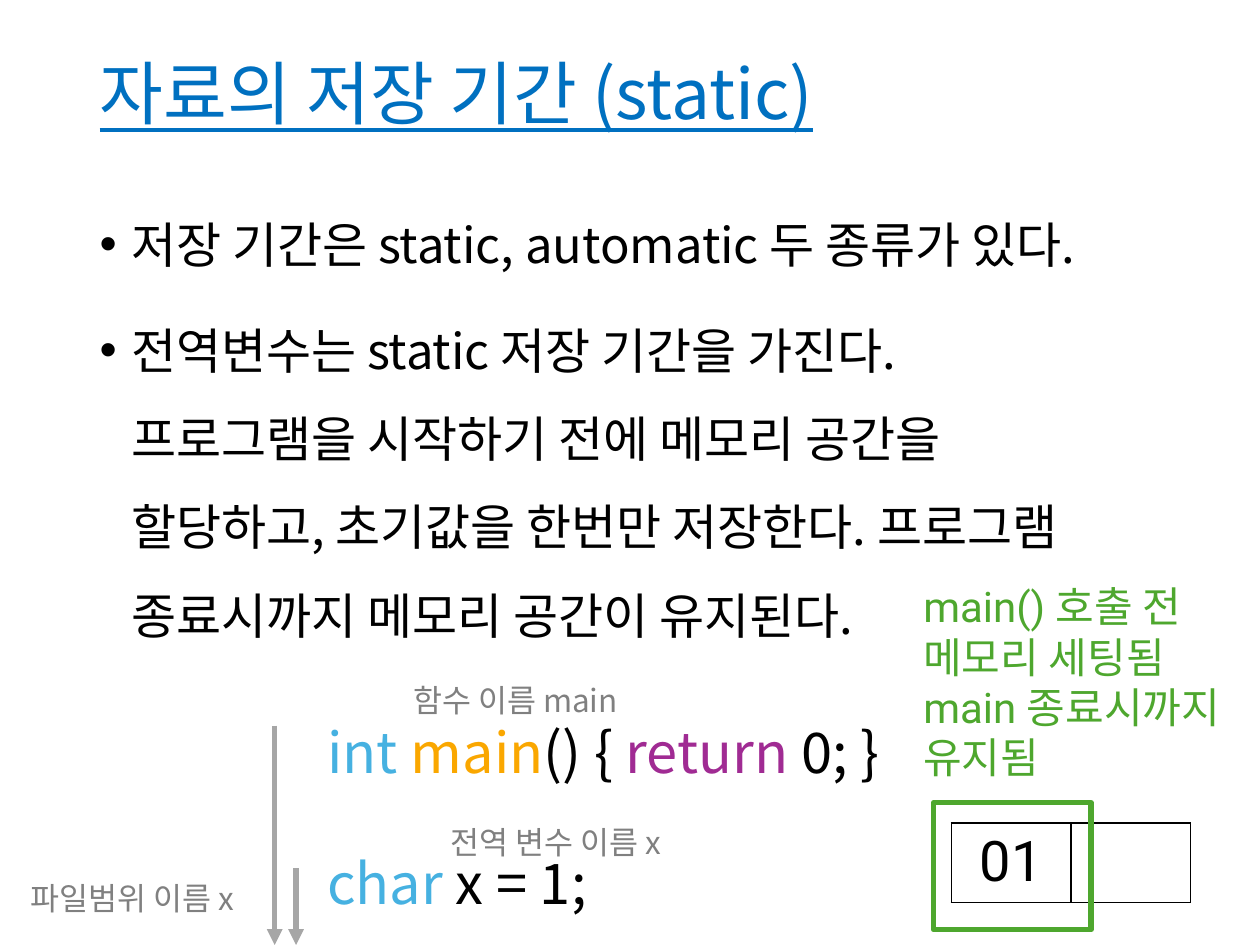
from dataclasses import dataclass

from lxml.etree import SubElement
from pptx import Presentation
from pptx.dml.color import RGBColor
from pptx.enum.shapes import MSO_CONNECTOR, MSO_SHAPE
from pptx.enum.text import MSO_ANCHOR, MSO_AUTO_SIZE, PP_ALIGN
from pptx.oxml.ns import qn
from pptx.util import Inches, Pt


@dataclass(frozen=True)
class Theme:
    """Fonts, type sizes and colours of the slide."""
    font: str = "Noto Sans CJK KR"
    accent_font: str = "Roboto"
    title_size: float = 39.6
    body_size: int = 28
    code_size: int = 32
    callout_size: int = 24
    label_size: int = 18
    title: str = "0070C0"
    text: str = "000000"
    background: str = "FFFFFF"
    label: str = "808080"
    arrow: str = "A6A6A6"
    callout: str = "4EA72E"
    keyword: str = "46B1E1"
    function: str = "FAA700"
    control: str = "A02B93"


class SlideBuilder:
    """Draws each kind of element on the current slide in one style."""

    def __init__(self, slide, theme):
        self.slide = slide
        self.theme = theme

    def place(self, shape, left, top, width, height):
        shape.left, shape.top = Inches(left), Inches(top)
        shape.width, shape.height = Inches(width), Inches(height)

    def format_run(self, run, size, color, font=None):
        run.font.size = Pt(size)
        run.font.name = font or self.theme.font
        run.font.color.rgb = RGBColor.from_string(color)
        east_asian = SubElement(run.font._element, qn("a:ea"))
        east_asian.set("typeface", self.theme.font)

    def title(self, text, *box):
        shape = self.slide.shapes.title
        self.place(shape, *box)
        frame = shape.text_frame
        frame.text = text
        frame.auto_size = MSO_AUTO_SIZE.NONE
        frame.vertical_anchor = MSO_ANCHOR.MIDDLE
        paragraph = frame.paragraphs[0]
        paragraph.alignment = PP_ALIGN.LEFT
        paragraph.line_spacing = 0.9
        run = paragraph.runs[0]
        self.format_run(run, self.theme.title_size, self.theme.title)
        run.font.underline = True

    def bullets(self, items, *box):
        shape = self.slide.placeholders[1]
        self.place(shape, *box)
        frame = shape.text_frame
        frame.text = "\n".join(items)
        frame.auto_size = MSO_AUTO_SIZE.NONE
        for index, paragraph in enumerate(frame.paragraphs):
            properties = paragraph._p.get_or_add_pPr()
            properties.set("marL", str(Inches(0.25)))
            properties.set("indent", str(Inches(-0.25)))
            SubElement(properties, qn("a:buFont")).set("typeface", "Arial")
            SubElement(properties, qn("a:buChar")).set("char", "•")
            paragraph.line_spacing = 1.5
            paragraph.space_before = Pt(10 if index else 0)
            self.format_run(paragraph.runs[0], self.theme.body_size, self.theme.text)

    def rectangle(self, *box):
        shape = self.slide.shapes.add_shape(MSO_SHAPE.RECTANGLE, *map(Inches, box))
        shape.shadow.inherit = False
        return shape

    def code(self, lines, gap, *box):
        shape = self.rectangle(*box)
        shape.line.fill.background()
        shape.fill.solid()
        shape.fill.fore_color.rgb = RGBColor.from_string(self.theme.background)
        color = shape.fill._xPr.find(f".//{qn('a:srgbClr')}")
        SubElement(color, qn("a:alpha")).set("val", "90000")
        frame = shape.text_frame
        frame.word_wrap = True
        frame.vertical_anchor = MSO_ANCHOR.TOP
        for index, line in enumerate(lines):
            paragraph = frame.add_paragraph() if index else frame.paragraphs[0]
            paragraph.alignment = PP_ALIGN.LEFT
            paragraph.line_spacing = 0.8
            paragraph.space_before = Pt(gap if index else 0)
            for text, color in line:
                run = paragraph.add_run()
                run.text = text
                self.format_run(run, self.theme.code_size, color)

    def text(self, text, size, color, font, *box):
        frame = self.slide.shapes.add_textbox(*map(Inches, box)).text_frame
        frame.text = text
        frame.word_wrap = False
        frame.auto_size = MSO_AUTO_SIZE.SHAPE_TO_FIT_TEXT
        for paragraph in frame.paragraphs:
            self.format_run(paragraph.runs[0], size, color, font)

    def label(self, text, *box):
        self.text(text, self.theme.label_size, self.theme.label, self.theme.font, *box)

    def arrow_down(self, x, top, bottom):
        connector = self.slide.shapes.add_connector(
            MSO_CONNECTOR.STRAIGHT, Inches(x), Inches(top), Inches(x), Inches(bottom))
        connector.line.color.rgb = RGBColor.from_string(self.theme.arrow)
        connector.line.width = Pt(3)
        SubElement(connector.line._get_or_add_ln(), qn("a:tailEnd")).set("type", "triangle")
        SubElement(connector._element.spPr, qn("a:effectLst"))

    def memory(self, values, *box):
        shape = self.slide.shapes.add_table(1, len(values), *map(Inches, box))
        table = shape.table
        table.first_row = table.horz_banding = False
        for cell, value in zip(table.iter_cells(), values):
            cell.text = value
            paragraph = cell.text_frame.paragraphs[0]
            paragraph.alignment = PP_ALIGN.CENTER
            for run in paragraph.runs:
                self.format_run(run, self.theme.code_size, self.theme.text,
                                self.theme.accent_font)
            properties = cell._tc.get_or_add_tcPr()
            for side in ("lnL", "lnR", "lnT", "lnB"):
                border = SubElement(properties, qn(f"a:{side}"), w=str(Pt(1)))
                fill = SubElement(border, qn("a:solidFill"))
                SubElement(fill, qn("a:srgbClr")).set("val", self.theme.text)
            cell.fill.background()

    def frame(self, *box):
        shape = self.rectangle(*box)
        shape.fill.background()
        shape.line.color.rgb = RGBColor.from_string(self.theme.callout)
        shape.line.width = Pt(3)


def main():
    presentation = Presentation()
    presentation.slide_width, presentation.slide_height = Inches(10), Inches(7.5)
    slide = presentation.slides.add_slide(presentation.slide_layouts[1])
    theme = Theme()
    builder = SlideBuilder(slide, theme)

    builder.title("자료의 저장 기간 (static)", 0.69, 0.4, 9.03, 0.74)
    builder.bullets([
        "저장 기간은 static, automatic 두 종류가 있다.",
        "전역변수는 static 저장 기간을 가진다. 프로그램을 시작하기 전에 메모리 공간을 "
        "할당하고, 초기값을 한번만 저장한다. 프로그램 종료시까지 메모리 공간이 유지된다.",
    ], 0.69, 1.42, 8.34, 5.34)
    builder.code([
        [("int ", theme.keyword), ("main", theme.function), ("() { ", theme.text),
         ("return", theme.control), (" 0; }", theme.text)],
        [("char", theme.keyword), (" x = 1;", theme.text)],
    ], 44, 2.5, 5.75, 4.61, 1.75)
    builder.label("전역 변수 이름 x", 3.48, 6.48, 2.1, 0.4)
    builder.label("함수 이름 main", 3.18, 5.36, 1.95, 0.4)
    builder.arrow_down(2.35, 6.89, 7.5)
    builder.arrow_down(2.18, 5.76, 7.5)
    builder.label("파일범위 이름 x", 0.14, 6.93, 2.01, 0.4)
    builder.memory(["01", ""], 7.55, 6.53, 1.9, 0.63)
    builder.frame(7.41, 6.37, 1.25, 1.01)
    builder.text("main() 호출 전\n메모리 세팅됨\nmain 종료시까지\n유지됨",
                 theme.callout_size, theme.callout, theme.accent_font,
                 7.23, 4.56, 2.69, 1.72)
    presentation.save("out.pptx")


if __name__ == "__main__":
    main()
